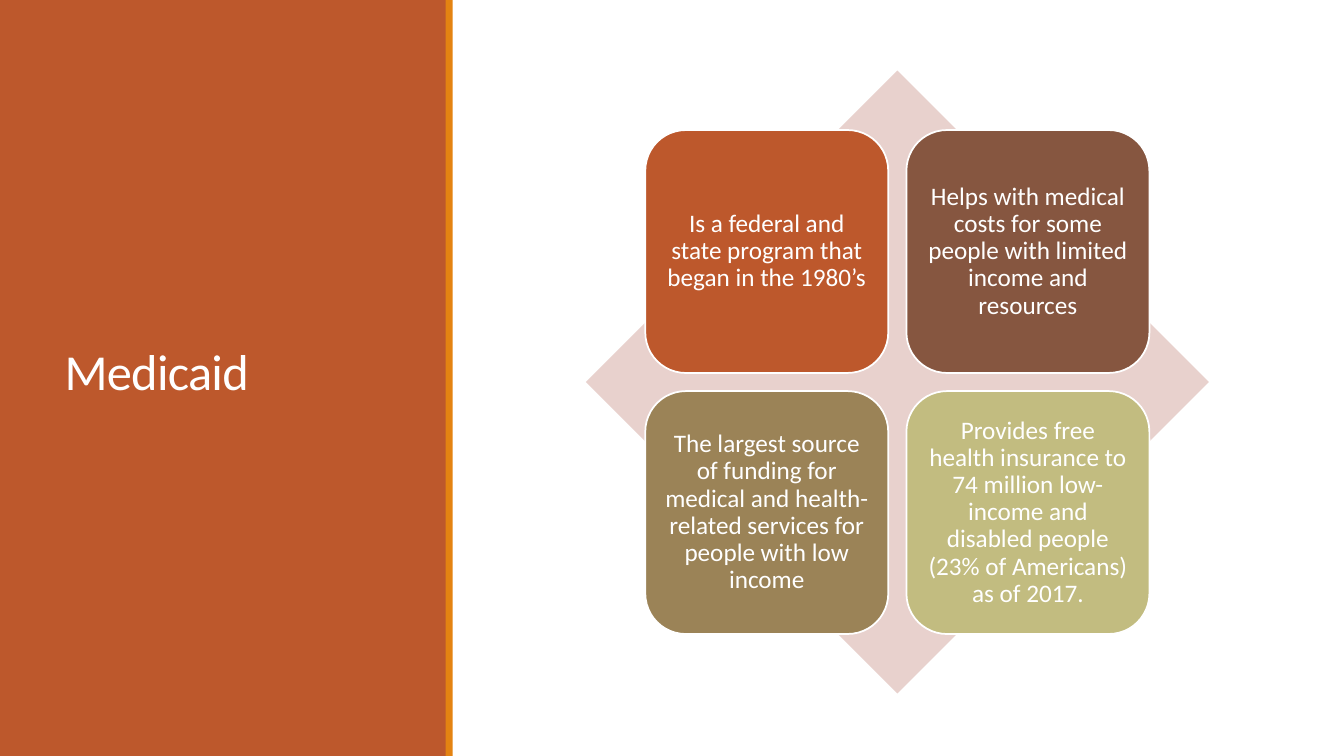
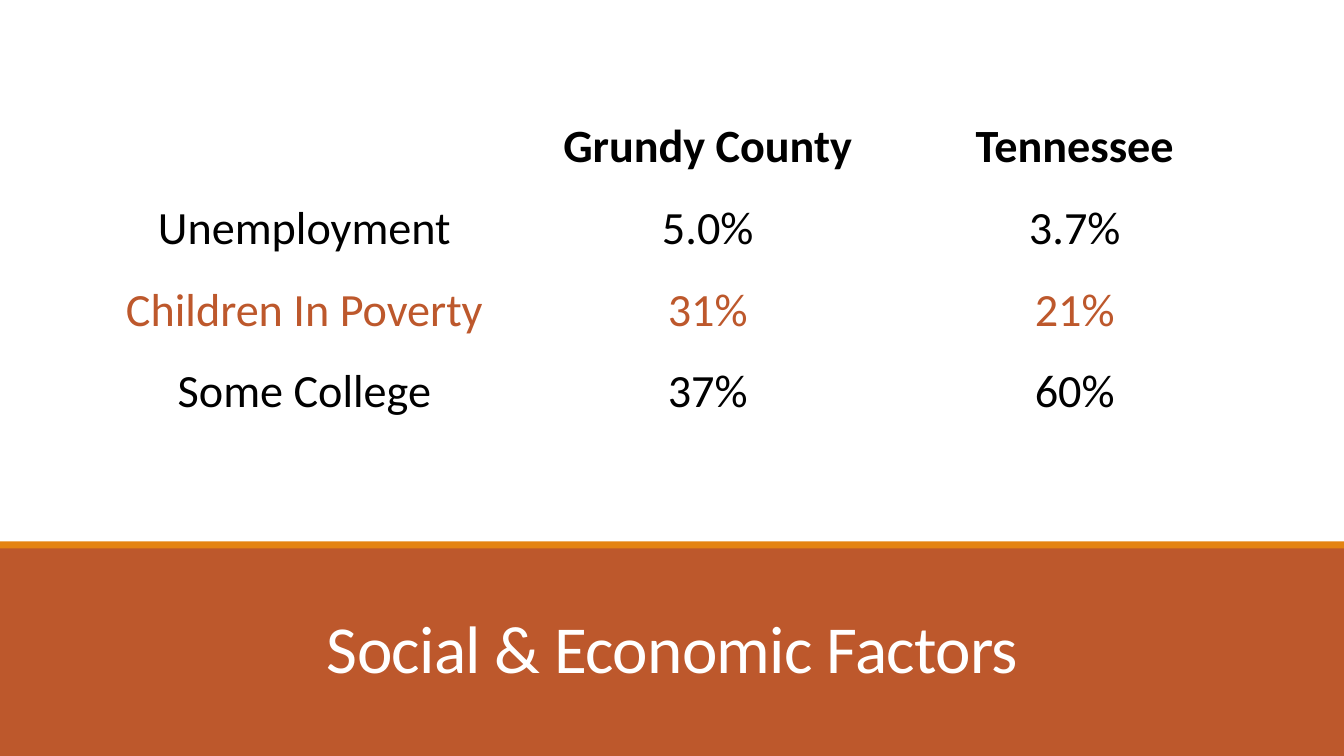
from pptx import Presentation
from pptx.dml.color import RGBColor
from pptx.enum.shapes import MSO_SHAPE
from pptx.enum.text import MSO_ANCHOR, MSO_AUTO_SIZE, PP_ALIGN
from pptx.util import Inches, Pt

FONT = "Calibri"
WHITE, BLACK = "FFFFFF", "000000"
RUST, ORANGE, BLUSH = "BD582C", "E48312", "E8D1CD"
SLIDE_WIDTH, SLIDE_HEIGHT = 13.33, 7.5
STRIPE = 0.07

MEDICAID_TITLE = "Medicaid"
MEDICAID_FACTS = [
    ("Is a federal and state program that began in the 1980’s", RUST),
    ("Helps with medical costs for some people with limited income and resources", "865640"),
    ("The largest source of funding for medical and health-related services "
     "for people with low income", "9B8357"),
    ("Provides free health insurance to 74 million low-income and disabled people "
     "(23% of Americans) as of 2017.", "C2BC80"),
]

FACTORS_TITLE = "Social & Economic Factors"
FACTORS = [
    ("", "Grundy County", "Tennessee"),
    ("Unemployment", "5.0%", "3.7%"),
    ("Children In Poverty", "31%", "21%"),
    ("Some College", "37%", "60%"),
]
HIGHLIGHTED_ROW = 2
COLUMN_WIDTHS = [4.68, 3.32, 3.96]
ROW_HEIGHTS = [0.95, 0.81, 0.81, 0.81]


def color(hex_code):
    """Turn a hex string into a colour."""
    return RGBColor.from_string(hex_code)


def add_filled(slide, preset, box, fill, line=None):
    """Add a flat preset shape; box is left, top, width, height in inches."""
    shape = slide.shapes.add_shape(preset, *map(Inches, box))
    shape.shadow.inherit = False
    shape.fill.solid()
    shape.fill.fore_color.rgb = color(fill)
    if line:
        shape.line.color.rgb = color(line)
        shape.line.width = Pt(1.25)
    else:
        shape.line.fill.background()
    return shape


def write(paragraph, text, size, hex_code, bold=False, align=PP_ALIGN.CENTER, spacing=None):
    """Write one formatted run into a paragraph and return it."""
    paragraph.alignment = align
    paragraph.line_spacing = spacing
    run = paragraph.add_run()
    run.text = text
    run.font.name = FONT
    run.font.size = Pt(size)
    run.font.bold = bold
    run.font.color.rgb = color(hex_code)
    return run


def add_titled_slide(presentation, text, size, title_box, band, stripe, align, anchor):
    """Add a slide with a rust band, an orange stripe and a white title on the band."""
    slide = presentation.slides.add_slide(presentation.slide_layouts[5])
    add_filled(slide, MSO_SHAPE.RECTANGLE, band, RUST)
    add_filled(slide, MSO_SHAPE.RECTANGLE, stripe, ORANGE)
    title = slide.shapes.title
    title.element.getparent().append(title.element)  # bring in front of the band
    title.left, title.top, title.width, title.height = map(Inches, title_box)
    frame = title.text_frame
    frame.word_wrap = True
    frame.auto_size = MSO_AUTO_SIZE.NONE
    frame.vertical_anchor = anchor
    run = write(frame.paragraphs[0], text, size, WHITE, align=align, spacing=0.85)
    run.font.element.set("spc", "-50") if hasattr(run.font, "element") else \
        run._r.get_or_add_rPr().set("spc", "-50")
    return slide


def add_fact_matrix(slide, facts):
    """Lay four rounded cards in a two by two grid over a diamond."""
    left, top, side, pitch, inset = 6.4, 1.29, 2.41, 2.59, 0.59
    diamond_side = side + pitch + 2 * inset
    add_filled(slide, MSO_SHAPE.DIAMOND,
               (left - inset, top - inset, diamond_side, diamond_side), BLUSH)
    for index, (text, fill) in enumerate(facts):
        row, column = divmod(index, 2)
        box = (left + column * pitch, top + row * pitch, side, side)
        card = add_filled(slide, MSO_SHAPE.ROUNDED_RECTANGLE, box, fill, WHITE)
        frame = card.text_frame
        frame.word_wrap = True
        frame.vertical_anchor = MSO_ANCHOR.MIDDLE
        frame.margin_left = frame.margin_right = Inches(0.07)
        frame.margin_top = frame.margin_bottom = Inches(0.07)
        write(frame.paragraphs[0], text, 18, WHITE, spacing=0.9)


def add_factor_table(slide, rows):
    """Add the unfilled comparison table with a bold header row."""
    table = slide.shapes.add_table(
        len(rows), len(COLUMN_WIDTHS), Inches(0.68), Inches(0.79),
        Inches(sum(COLUMN_WIDTHS)), Inches(sum(ROW_HEIGHTS))).table
    table.first_row = table.horz_banding = False
    for column, width in zip(table.columns, COLUMN_WIDTHS):
        column.width = Inches(width)
    for row_index, (row, height) in enumerate(zip(table.rows, ROW_HEIGHTS)):
        row.height = Inches(height)
        text_color = RUST if row_index == HIGHLIGHTED_ROW else BLACK
        for cell, text in zip(row.cells, rows[row_index]):
            cell.fill.background()
            cell.vertical_anchor = MSO_ANCHOR.BOTTOM
            cell.margin_left = cell.margin_right = cell.margin_top = Inches(0.01)
            cell.margin_bottom = 0
            if text:
                write(cell.text_frame.paragraphs[0], text, 33, text_color, bold=row_index == 0)


presentation = Presentation()
presentation.slide_width = Inches(SLIDE_WIDTH)
presentation.slide_height = Inches(SLIDE_HEIGHT)

medicaid = add_titled_slide(
    presentation, MEDICAID_TITLE, 36, (0.54, 0.57, 3.37, 6.31),
    band=(0, 0, 4.43, SLIDE_HEIGHT), stripe=(4.42, 0, STRIPE, SLIDE_HEIGHT),
    align=PP_ALIGN.LEFT, anchor=MSO_ANCHOR.MIDDLE)
add_fact_matrix(medicaid, MEDICAID_FACTS)

factors = add_titled_slide(
    presentation, FACTORS_TITLE, 48, (1.17, 5.74, 11, 1.13),
    band=(0, 5.42, SLIDE_WIDTH, 2.08), stripe=(0, 5.37, SLIDE_WIDTH, STRIPE),
    align=PP_ALIGN.CENTER, anchor=MSO_ANCHOR.BOTTOM)
add_factor_table(factors, FACTORS)

presentation.save("out.pptx")
